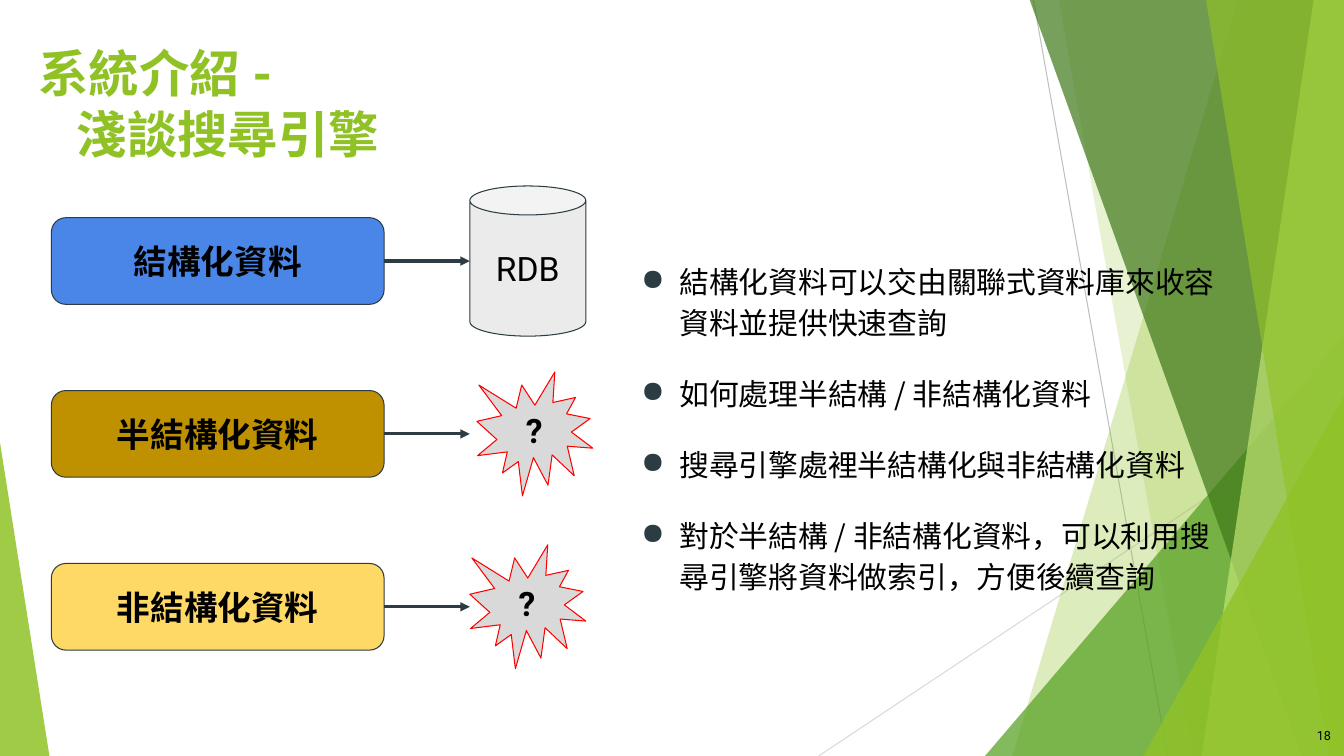
"""Build the slide that introduces search engines for semi-structured and unstructured data."""
import dataclasses
import typing

import pptx
import pptx.dml.color
import pptx.enum.shapes
import pptx.enum.text
import pptx.oxml
import pptx.oxml.ns
import pptx.util

Inches = pptx.util.Inches
RGBColor = pptx.dml.color.RGBColor
MSO_SHAPE = pptx.enum.shapes.MSO_SHAPE
PP_ALIGN = pptx.enum.text.PP_ALIGN
MSO_ANCHOR = pptx.enum.text.MSO_ANCHOR

BLACK = RGBColor(0x00, 0x00, 0x00)
LIME = RGBColor(0x90, 0xC2, 0x26)
GREEN = RGBColor(0x54, 0xA0, 0x21)
FOREST = RGBColor(0x3F, 0x78, 0x19)
PALE_LIME = RGBColor(0xC0, 0xE4, 0x74)
SLATE = RGBColor(0x2C, 0x3C, 0x43)
BLUE = RGBColor(0x4A, 0x86, 0xE8)
OCHRE = RGBColor(0xBF, 0x90, 0x00)
YELLOW = RGBColor(0xFF, 0xD9, 0x66)
LIGHT_GRAY = RGBColor(0xEB, 0xEB, 0xEB)
GRAY = RGBColor(0xD9, 0xD9, 0xD9)
MID_GRAY = RGBColor(0xBF, 0xBF, 0xBF)
RED = RGBColor(0xFF, 0x00, 0x00)

LATIN = "Roboto"
CJK = "Noto Sans CJK TC"
WIDTH, HEIGHT = 13.33, 7.5
BOX_LEFT, BOX_WIDTH, BOX_HEIGHT = 0.51, 3.3, 0.86
TARGET_LEFT, TARGET_WIDTH = 4.66, 1.15
FIRST_ROW, ROW_STEP = 2.59, 1.715

Box = tuple[float, float, float, float]


@dataclasses.dataclass(frozen=True)
class Facet:
    """A translucent piece of the backdrop: a band or a right triangle."""
    color: RGBColor
    opacity: int
    band: tuple[float, ...] = ()
    triangle: Box = (0, 0, 0, 0)
    apex: float = 1


@dataclasses.dataclass(frozen=True)
class DataKind:
    """A kind of data and the place where it can be stored."""
    label: str
    color: RGBColor
    store: str
    store_shape: MSO_SHAPE
    store_color: RGBColor
    store_line: RGBColor
    store_height: float
    store_shift: float = 0
    store_bold: bool = True


FACETS = [
    Facet(LIME, 30, band=(12.28, 10.04)),
    Facet(LIME, 20, band=(10.5, 11.83)),
    Facet(GREEN, 72, triangle=(9.77, 3.33, 3.56, 4.17)),
    Facet(FOREST, 70, band=(10.21, 12.91)),
    Facet(PALE_LIME, 70, band=(13.03, 11.92)),
    Facet(LIME, 65, band=(11.96, 13.18)),
    Facet(LIME, 80, triangle=(11.34, 3.93, 1.99, 3.57)),
    Facet(LIME, 85, triangle=(0, 4.39, 0.49, 3.11), apex=0),
]
SEAL = MSO_SHAPE.EXPLOSION1
DATA_KINDS = [
    DataKind("結構化資料", BLUE, "RDB", MSO_SHAPE.CAN, LIGHT_GRAY, SLATE, 1.49, store_bold=False),
    DataKind("半結構化資料", OCHRE, "?", SEAL, GRAY, RED, 1.23, store_shift=0.07),
    DataKind("非結構化資料", YELLOW, "?", SEAL, GRAY, RED, 1.23),
]
POINTS = [
    "結構化資料可以交由關聯式資料庫來收容資料並提供快速查詢",
    "如何處理半結構 / 非結構化資料",
    "搜尋引擎處裡半結構化與非結構化資料",
    "對於半結構 / 非結構化資料，可以利用搜尋引擎將資料做索引，方便後續查詢",
]


def apply(target: typing.Any, formats: dict[str, typing.Any]) -> None:
    """Set every attribute named in the format values."""
    for name, value in formats.items():
        setattr(target, name, value)


def add_xml(parent: typing.Any, tag: str, **attributes: str) -> typing.Any:
    """Append a drawing element and return it."""
    child = parent.makeelement(pptx.oxml.ns.qn(tag), attributes)
    parent.append(child)
    return child


def inches(box: Box) -> list[int]:
    """Convert a box to lengths."""
    return [Inches(value) for value in box]


def write(paragraph: typing.Any, text: str, size: float, font: str, color: RGBColor, bold: bool) -> None:
    """Write text with one font for both scripts."""
    paragraph.text = text
    for run in paragraph.runs:
        apply(run.font, {"size": pptx.util.Pt(size), "name": font, "bold": bold})
        run.font.color.rgb = color
        add_xml(run.font._element, "a:ea", typeface=font)


def set_frame(frame: typing.Any, inset: float, anchor: MSO_ANCHOR) -> None:
    """Set the insets, wrapping and anchor of a text frame."""
    margins = {f"margin_{side}": Inches(inset) for side in ("left", "right", "top", "bottom")}
    apply(frame, margins | {"word_wrap": True, "vertical_anchor": anchor})


def add_text(slide: typing.Any, box: Box, inset: float = 0.13, anchor: MSO_ANCHOR = MSO_ANCHOR.TOP) -> typing.Any:
    """Add a text box and return its frame."""
    frame = slide.shapes.add_textbox(*inches(box)).text_frame
    set_frame(frame, inset, anchor)
    return frame


def add_line(slide: typing.Any, ends: Box, color: RGBColor, width: float) -> typing.Any:
    """Add a straight line without shadow."""
    line = slide.shapes.add_connector(pptx.enum.shapes.MSO_CONNECTOR.STRAIGHT, *inches(ends))
    line.line.color.rgb = color
    line.line.width = pptx.util.Pt(width)
    add_xml(line._element.spPr, "a:effectLst")
    return line


def add_facet(slide: typing.Any, facet: Facet) -> None:
    """Add a translucent backdrop piece."""
    if facet.band:
        top, bottom = facet.band
        builder = slide.shapes.build_freeform(Inches(top), Inches(-0.01))
        corners = [(WIDTH, -0.01), (WIDTH, HEIGHT), (bottom, HEIGHT)]
        builder.add_line_segments([(Inches(x), Inches(y)) for x, y in corners])
        piece = builder.convert_to_shape()
    else:
        piece = slide.shapes.add_shape(MSO_SHAPE.ISOSCELES_TRIANGLE, *inches(facet.triangle))
        piece.adjustments[0] = facet.apex
    piece.shadow.inherit = False
    piece.fill.solid()
    piece.fill.fore_color.rgb = facet.color
    add_xml(piece.fill._xPr.find(".//" + pptx.oxml.ns.qn("a:srgbClr")), "a:alpha", val=str(facet.opacity * 1000))
    piece.line.fill.background()


def add_node(slide: typing.Any, preset: MSO_SHAPE, box: Box, text: str, font: str,
             fill: RGBColor, outline: RGBColor, bold: bool) -> None:
    """Add a filled shape with a centred label."""
    node = slide.shapes.add_shape(preset, *inches(box))
    node.shadow.inherit = False
    node.fill.solid()
    node.fill.fore_color.rgb = fill
    node.line.color.rgb = outline
    node.line.width = pptx.util.Pt(0.75)
    set_frame(node.text_frame, 0.13, MSO_ANCHOR.MIDDLE)
    label = node.text_frame.paragraphs[0]
    label.alignment = PP_ALIGN.CENTER
    write(label, text, 24, font, BLACK, bold)


def add_data_kind(slide: typing.Any, kind: DataKind, middle: float) -> None:
    """Add one row: the kind of data, an arrow and its store."""
    box = (BOX_LEFT, middle - BOX_HEIGHT / 2, BOX_WIDTH, BOX_HEIGHT)
    add_node(slide, MSO_SHAPE.ROUNDED_RECTANGLE, box, kind.label, CJK, kind.color, SLATE, True)
    arrow = add_line(slide, (BOX_LEFT + BOX_WIDTH, middle, TARGET_LEFT, middle), SLATE, 2.25)
    add_xml(arrow.line._get_or_add_ln(), "a:tailEnd", type="triangle")
    store = (TARGET_LEFT + kind.store_shift, middle - kind.store_height / 2, TARGET_WIDTH, kind.store_height)
    add_node(slide, kind.store_shape, store, kind.store, LATIN, kind.store_color, kind.store_line, kind.store_bold)


def add_points(slide: typing.Any) -> None:
    """Add the bulleted points."""
    frame = add_text(slide, (6.23, 2.43, 6.16, 3.75))
    for index, point in enumerate(POINTS):
        paragraph = frame.add_paragraph() if index else frame.paragraphs[0]
        properties = paragraph._p.get_or_add_pPr()
        apply(paragraph, {"line_spacing": 1.15, "space_after": pptx.util.Pt(21.3)})
        apply_indent(properties, 0.38, -0.38)
        add_xml(add_xml(properties, "a:buClr"), "a:srgbClr", val=str(SLATE))
        add_xml(properties, "a:buChar", char="●")
        write(paragraph, point, 21.3, CJK, BLACK, False)


def apply_indent(properties: typing.Any, left: float, first: float) -> None:
    """Set the left margin and first-line indent of a paragraph."""
    for name, value in {"marL": left, "indent": first}.items():
        properties.set(name, str(Inches(value)))


def main() -> None:
    """Build and save the slide."""
    deck = pptx.Presentation()
    apply(deck, {"slide_width": Inches(WIDTH), "slide_height": Inches(HEIGHT)})
    slide = deck.slides.add_slide(deck.slide_layouts[6])
    add_line(slide, (10.25, 0, 11.58, HEIGHT), MID_GRAY, 0.75)
    add_line(slide, (WIDTH, 4.03, 8.12, HEIGHT), GRAY, 0.75)
    for facet in FACETS:
        add_facet(slide, facet)
    title = add_text(slide, (0, 0.29, 6.19, 6)).paragraphs[0]
    apply_indent(title._p.get_or_add_pPr(), 0.63, -0.38)
    write(title, "系統介紹 -\v淺談搜尋引擎", 36, LATIN, LIME, True)
    add_points(slide)
    for row, kind in enumerate(DATA_KINDS):
        add_data_kind(slide, kind, FIRST_ROW + row * ROW_STEP)
    number = add_text(slide, (12.74, 7.15, 0.56, 0.3), 0.1, MSO_ANCHOR.MIDDLE).paragraphs[0]
    number.alignment = PP_ALIGN.RIGHT
    write(number, "18", 9, LATIN, BLACK, False)


    deck.save("out.pptx")


if __name__ == "__main__":
    main()
